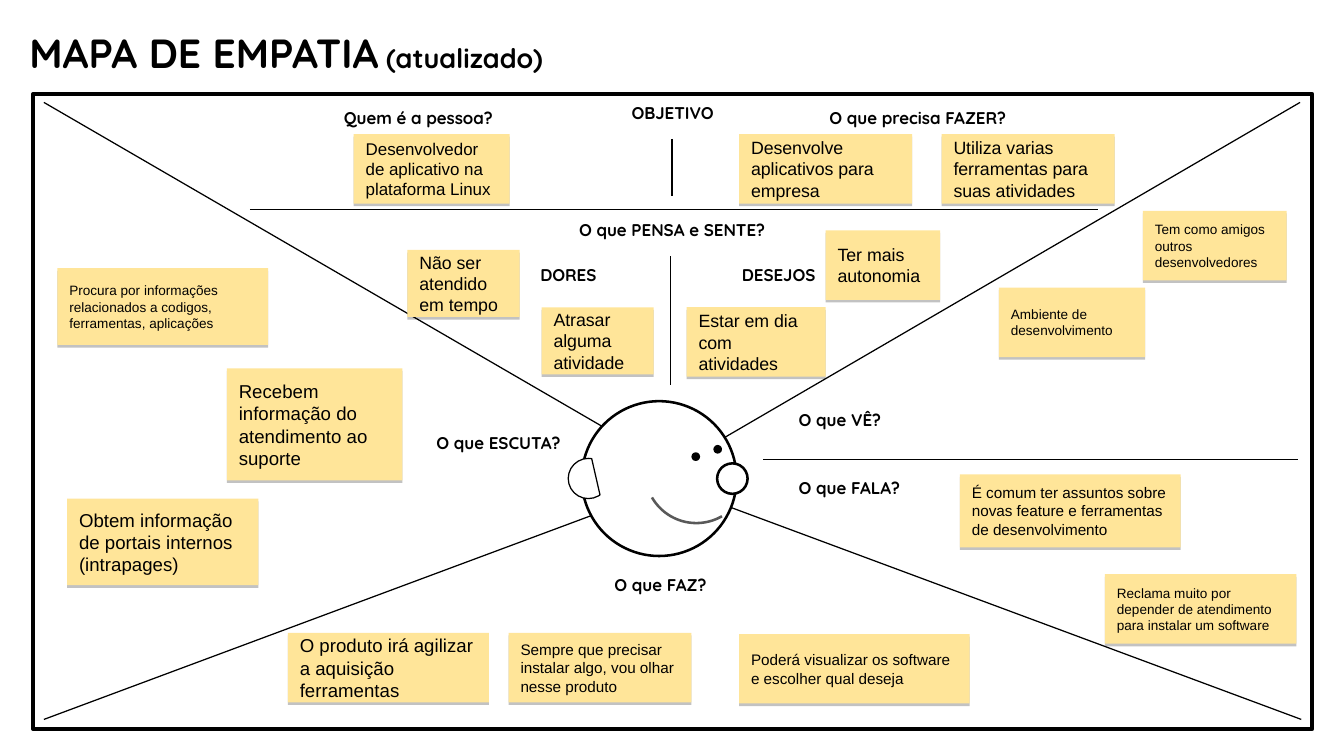
from dataclasses import dataclass
from typing import Optional

from lxml import etree
from pptx import Presentation
from pptx import util as u
from pptx.dml.color import RGBColor
from pptx.enum import shapes, text
from pptx.oxml import ns

BLACK = RGBColor(0x00, 0x00, 0x00)
WHITE = RGBColor(0xFF, 0xFF, 0xFF)
GREY = RGBColor(0x59, 0x59, 0x59)
NOTE_YELLOW = RGBColor(0xFF, 0xE5, 0x99)
HEADING_FONT = "Quicksand"
NOTE_FONT = "Arial"
COLUMNS, ROWS = 110.2, 62
LEFT, CENTER = text.PP_ALIGN.LEFT, text.PP_ALIGN.CENTER
OVAL = shapes.MSO_SHAPE.OVAL


@dataclass(frozen=True)
class Area:
    column: float
    row: float
    columns: float
    rows: float

    def lengths(self) -> list:
        return [cells(n) for n in (self.column, self.row, self.columns, self.rows)]


@dataclass(frozen=True)
class Note:
    words: str
    area: Area
    size: float


@dataclass(frozen=True)
class Label:
    words: str
    area: Area
    align: text.PP_ALIGN = CENTER


@dataclass(frozen=True)
class Rule:
    column: float
    row: float
    end_column: float
    end_row: float


@dataclass(frozen=True)
class Figure:
    kind: shapes.MSO_SHAPE
    area: Area
    fill: Optional[RGBColor] = WHITE
    line: RGBColor = BLACK
    weight: float = 1.5
    angles: tuple = ()


FRAME = Figure(shapes.MSO_SHAPE.RECTANGLE, Area(2.7, 7.7, 104.9, 52.1), None, weight=2.25)

RULES = [
    Rule(55.7, 39.6, 3.6, 59),
    Rule(54.5, 39.6, 106.7, 59),
    Rule(55.8, 38.7, 3.6, 8.4),
    Rule(54.4, 38.8, 106.6, 8.4),
    Rule(62.6, 37.7, 106.4, 37.7),
    Rule(55, 21, 55, 31.6),
    Rule(20.5, 17.2, 90, 17.2),
    Rule(55.1, 11.4, 55.1, 16.1),
]

FACE = [
    Figure(OVAL, Area(47.7, 32.9, 12.7, 12.7)),
    Figure(OVAL, Area(58.8, 38, 2.5, 2.5)),
    Figure(OVAL, Area(58.6, 36.6, 0.5, 0.5), BLACK),
    Figure(OVAL, Area(56.8, 37.2, 0.5, 0.5), BLACK),
    Figure(shapes.MSO_SHAPE.ARC, Area(52.9, 34.5, 8.4, 8.4), None, GREY, angles=(60, 150)),
    Figure(shapes.MSO_SHAPE.CHORD, Area(46.6, 37.6, 3.3, 3.3), weight=0.75,
           angles=(54.6, 279.6)),
]

LABELS = [
    Label("O que PENSA e SENTE?", Area(29, 17, 52.2, 3.9)),
    Label("O que ESCUTA?", Area(34.8, 34.5, 15.4, 9.1), LEFT),
    Label("O que VÊ?", Area(64.5, 32.6, 31.8, 3.9), LEFT),
    Label("O que FAZ?", Area(33.6, 46.1, 41.1, 3.9)),
    Label("O que FALA?", Area(64.5, 38.2, 31.8, 3.9), LEFT),
    Label("DORES", Area(38.2, 20.7, 16.8, 3.9)),
    Label("DESEJOS", Area(53.7, 20.7, 20.3, 3.9)),
    Label("Quem é a pessoa?", Area(19.8, 7.8, 29, 3.9)),
    Label("O que precisa FAZER?", Area(58.8, 7.8, 32.9, 3.9)),
    Label("OBJETIVO", Area(47.9, 7.4, 14.5, 3.9)),
]

NOTES = [
    Note("Não ser atendido em tempo", Area(33.4, 20.5, 9.2, 5.5), 10.5),
    Note("Desenvolvedor de aplicativo na plataforma Linux", Area(29, 11, 12.8, 5.7), 10),
    Note("Atrasar alguma atividade", Area(44.4, 25.2, 9.2, 5.5), 10.5),
    Note("Estar em dia com atividades", Area(56.3, 25.2, 11.4, 5.7), 10.5),
    Note("Recebem informação do atendimento ao suporte", Area(18.6, 30.2, 14.4, 9.2), 11),
    Note("Procura por informações relacionados a codigos, ferramentas, aplicações",
         Area(4.7, 22, 17.3, 6.3), 8),
    Note("Obtem informação de portais internos (intrapages)", Area(5.5, 40.9, 15.7, 7.1), 11),
    Note("Ambiente de desenvolvimento", Area(81.9, 23.6, 12, 5.7), 8),
    Note("Tem como amigos outros desenvolvedores", Area(93.7, 17.3, 11.8, 5.7), 8),
    Note("É comum ter assuntos sobre novas feature e ferramentas de desenvolvimento",
         Area(78.7, 38.9, 18.1, 6), 9),
    Note("Reclama muito por depender de atendimento para instalar um software",
         Area(90.6, 47.1, 15.7, 5.7), 8),
    Note("O produto irá agilizar a aquisição ferramentas", Area(23.6, 51.9, 16.5, 5.7), 11),
    Note("Sempre que precisar instalar algo, vou olhar nesse produto",
         Area(41.7, 51.9, 15, 5.7), 9),
    Note("Poderá visualizar os software e escolher qual deseja", Area(60.6, 52, 18.9, 5.7), 9),
    Note("Ter mais autonomia", Area(67.7, 18.9, 9.4, 5.7), 10.5),
    Note("Utiliza varias ferramentas para suas atividades", Area(77.2, 11, 14.2, 5.7), 10.5),
    Note("Desenvolve aplicativos para empresa", Area(60.6, 11, 14.2, 5.7), 10.5),
]


def cells(count: float) -> u.Length:
    return u.Inches(count / 10)


def prepare_frame(frame, *, inset: float = 1, anchor=text.MSO_ANCHOR.MIDDLE) -> None:
    frame.word_wrap = True
    frame.auto_size = text.MSO_AUTO_SIZE.NONE
    frame.vertical_anchor = anchor
    frame.margin_left = frame.margin_right = cells(inset)
    frame.margin_top = frame.margin_bottom = cells(inset)


def write(para, words: str, *, size: float, font: str = HEADING_FONT,
          bold: bool = True, align=LEFT) -> None:
    para.alignment = align
    span = para.add_run()
    span.text = words
    span.font.name = font
    span.font.size = u.Pt(size)
    span.font.bold = bold
    span.font.color.rgb = BLACK


def draw_title(page) -> None:
    title = page.shapes.title
    title.left, title.top, title.width, title.height = Area(2, 1.8, 92.3, 5).lengths()
    prepare_frame(title.text_frame, inset=0.4)
    para = title.text_frame.paragraphs[0]
    write(para, "MAPA DE EMPATIA", size=24)
    write(para, " (atualizado)", size=16)


def draw_figure(page, figure: Figure) -> None:
    shape = page.shapes.add_shape(figure.kind, *figure.area.lengths())
    shape.shadow.inherit = False
    if figure.fill is None:
        shape.fill.background()
    else:
        shape.fill.solid()
        shape.fill.fore_color.rgb = figure.fill
    shape.line.color.rgb = figure.line
    shape.line.width = u.Pt(figure.weight)
    for index, angle in enumerate(figure.angles):
        shape.adjustments[index] = angle * 0.6


def draw_rule(page, rule: Rule) -> None:
    ends = [cells(n) for n in (rule.column, rule.row, rule.end_column, rule.end_row)]
    connector = page.shapes.add_connector(shapes.MSO_CONNECTOR.STRAIGHT, *ends)
    connector.line.color.rgb = BLACK
    connector.line.width = u.Pt(0.75)
    etree.SubElement(connector.element.spPr, ns.qn("a:effectLst"))


def draw_label(page, label: Label) -> None:
    box = page.shapes.add_textbox(*label.area.lengths())
    prepare_frame(box.text_frame, anchor=text.MSO_ANCHOR.TOP)
    write(box.text_frame.paragraphs[0], label.words, size=10, align=label.align)


def draw_note(page, note: Note) -> None:
    box = page.shapes.add_shape(shapes.MSO_SHAPE.RECTANGLE, *note.area.lengths())
    box.fill.solid()
    box.fill.fore_color.rgb = NOTE_YELLOW
    box.line.fill.background()
    box.shadow.inherit = False
    effects = box.element.spPr.find(ns.qn("a:effectLst"))
    shadow = etree.SubElement(effects, ns.qn("a:outerShdw"), blurRad="0",
                              dist=str(u.Pt(1.5)), dir="5400000", rotWithShape="0")
    color = etree.SubElement(shadow, ns.qn("a:srgbClr"), val=str(BLACK))
    etree.SubElement(color, ns.qn("a:alpha"), val="24000")
    prepare_frame(box.text_frame)
    write(box.text_frame.paragraphs[0], note.words, size=note.size, font=NOTE_FONT, bold=False)


def main() -> None:
    deck = Presentation()
    deck.slide_width, deck.slide_height = cells(COLUMNS), cells(ROWS)
    page = deck.slides.add_slide(deck.slide_layouts.get_by_name("Title Only"))
    draw_title(page)
    draw_figure(page, FRAME)
    for draw, items in ((draw_rule, RULES), (draw_figure, FACE),
                        (draw_label, LABELS), (draw_note, NOTES)):
        for item in items:
            draw(page, item)
    deck.save("out.pptx")


if __name__ == "__main__":
    main()
